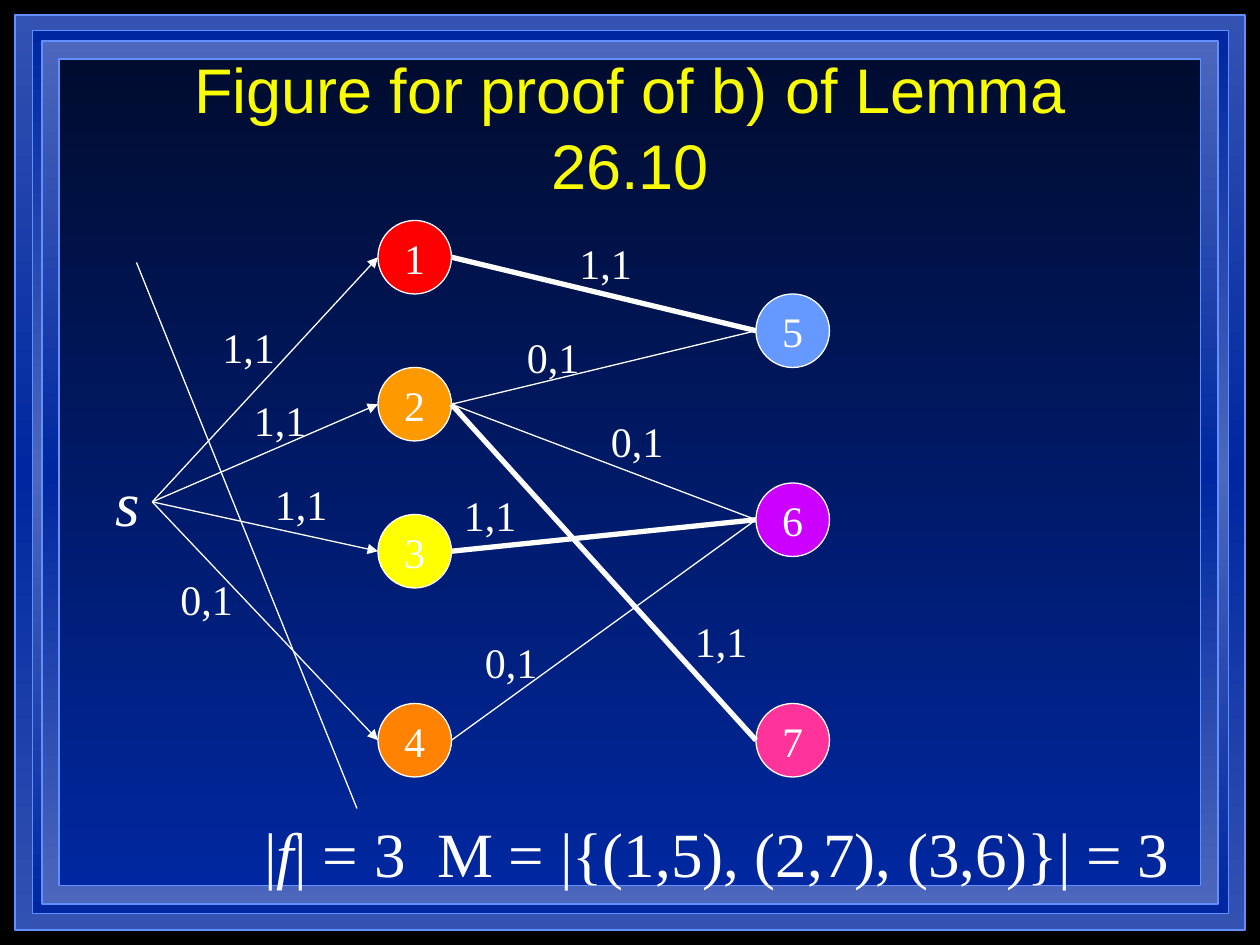
from copy import deepcopy

from pptx import Presentation
from pptx.dml.color import RGBColor
from pptx.enum.shapes import MSO_CONNECTOR, MSO_SHAPE
from pptx.enum.text import MSO_ANCHOR, MSO_AUTO_SIZE, PP_ALIGN
from pptx.oxml.ns import qn
from pptx.util import Inches, Pt

STRAIGHT = MSO_CONNECTOR.STRAIGHT
RECTANGLE, OVAL = MSO_SHAPE.RECTANGLE, MSO_SHAPE.OVAL
MIDDLE, CENTER = MSO_ANCHOR.MIDDLE, PP_ALIGN.CENTER
NO_FIT, GROW = MSO_AUTO_SIZE.NONE, MSO_AUTO_SIZE.SHAPE_TO_FIT_TEXT

THEME = {
    "title_font": "Arial", "body_font": "Times New Roman",
    "large": Pt(36), "small": Pt(24),
    "thin": Pt(0.75), "thick": Pt(3), "frame": Pt(1),
    "background": RGBColor.from_string("000000"),
    "title": RGBColor.from_string("FAFD00"),
    "ink": RGBColor.from_string("FFFFFF"),
    "edge": RGBColor.from_string("618FFD"),
}

deck = Presentation()
deck.slide_width, deck.slide_height = Inches(10), Inches(7.5)
UNIT = deck.slide_width / 120


def grid(*lengths):
    return [round(length * UNIT) for length in lengths]


def add_line(start, end, weight):
    line = page.shapes.add_connector(STRAIGHT, *grid(*start, *end))
    line.line.color.rgb = THEME["ink"]
    line.line.width = weight
    line.element.spPr.append(line.element.makeelement(qn("a:effectLst")))
    return line


page = deck.slides.add_slide(deck.slide_layouts[5])
page.background.fill.solid()
page.background.fill.fore_color.rgb = THEME["background"]

frames = [
    ((1.4, 1.4, 117.2, 87.2), ["3352B2", "00279F", "3352B2"]),
    ((3.1, 2.9, 113.9, 84.1), ["00279F", "4C67BC", "00279F"]),
    ((4, 3.9, 112, 82.2), ["4C67BC", "00279F", "4C67BC"]),
    ((5.65, 5.65, 108.7, 78.7), ["000C2F", "00279F"]),
]
for place, colors in frames:
    frame = page.shapes.add_shape(RECTANGLE, *grid(*place))
    frame.shadow.inherit = False
    frame.line.color.rgb = THEME["edge"]
    frame.line.width = THEME["frame"]
    frame.fill.gradient()
    frame.fill.gradient_angle = 270
    stop_list = frame.element.spPr.find(".//" + qn("a:gsLst"))
    for extra in colors[2:]:
        stop_list.append(deepcopy(stop_list[-1]))
    for index, (stop, color) in enumerate(zip(frame.fill.gradient_stops, colors)):
        stop.position = index / (len(colors) - 1)
        stop.color.rgb = RGBColor.from_string(color)

title = page.shapes.title
page.shapes.element.append(title.element)
title.left, title.top, title.width, title.height = grid(9, 8, 102, 8.1)
title.text_frame.text = "Figure for proof of b) of Lemma 26.10"
title.text_frame.word_wrap = True
title.text_frame.auto_size = NO_FIT
title.text_frame.vertical_anchor = MIDDLE
para = title.text_frame.paragraphs[0]
para.alignment = CENTER
para.font.name, para.font.size = THEME["title_font"], THEME["large"]
para.font.color.rgb = THEME["title"]

NODE = 7
LEFT_COLUMN, RIGHT_COLUMN = 36, 72
nodes = {
    "1": (LEFT_COLUMN, 21, "FF0000"),
    "2": (LEFT_COLUMN, 35, "FF9900"),
    "3": (LEFT_COLUMN, 49, "FFFF00"),
    "4": (LEFT_COLUMN, 67, "FF8203"),
    "5": (RIGHT_COLUMN, 28, "6699FF"),
    "6": (RIGHT_COLUMN, 46, "CC00FF"),
    "7": (RIGHT_COLUMN, 67, "FF3399"),
}
for name, (column, row, color) in nodes.items():
    node = page.shapes.add_shape(OVAL, *grid(column, row, NODE, NODE))
    node.shadow.inherit = False
    node.fill.solid()
    node.fill.fore_color.rgb = RGBColor.from_string(color)
    node.line.color.rgb = THEME["ink"]
    node.line.width = THEME["thin"]
    node.text_frame.text = name
    node.text_frame.word_wrap = False
    node.text_frame.vertical_anchor = MIDDLE
    para = node.text_frame.paragraphs[0]
    para.alignment = CENTER
    para.font.name, para.font.size = THEME["body_font"], THEME["small"]
    para.font.color.rgb = THEME["ink"]

matching = ["15", "27", "36"]
for start, end in ["15", "25", "26", "27", "36", "46"]:
    weight = THEME["thick"] if start + end in matching else THEME["thin"]
    add_line((LEFT_COLUMN + NODE, nodes[start][1] + NODE / 2),
             (RIGHT_COLUMN, nodes[end][1] + NODE / 2), weight)

SOURCE = (9.8, 43.6, 4.7, 8.4)
LABEL = (7.5, 6)
labels = [
    (20, 30, "1,1"), (23, 37, "1,1"), (25, 45, "1,1"), (16, 54, "0,1"),
    (54, 22, "1,1"), (49, 31, "0,1"), (57, 39, "0,1"),
    (43, 46, "1,1"), (65, 58, "1,1"), (45, 60, "0,1"),
]
texts = [(SOURCE, [("s", True)], THEME["large"])]
texts += [((column, row, *LABEL), [(text, None)], THEME["small"])
          for column, row, text in labels]
texts.append(((24, 77, 88.6, 8.4),
              [("|", None), ("f", True), ("| = 3  M = |{(1,5), (2,7), (3,6)}| = 3", None)],
              THEME["large"]))
boxes = []
for place, parts, size in texts:
    box = page.shapes.add_textbox(*grid(*place))
    box.text_frame.word_wrap = False
    box.text_frame.auto_size = GROW
    para = box.text_frame.paragraphs[0]
    para.font.name, para.font.size = THEME["body_font"], size
    para.font.color.rgb = THEME["ink"]
    for text, italic in parts:
        span = para.add_run()
        span.text = text
        span.font.italic = italic
    boxes.append(box)

source = boxes[0]
for name in "1234":
    arrow = add_line((SOURCE[0] + SOURCE[2], SOURCE[1] + SOURCE[3] / 2),
                     (LEFT_COLUMN, nodes[name][1] + NODE / 2), THEME["thin"])
    arrow.begin_connect(source, 3)
    outline = arrow.element.spPr.find(qn("a:ln"))
    outline.append(outline.makeelement(qn("a:tailEnd"), {"type": "triangle"}))

add_line((13, 25), (34, 77), THEME["thin"])

deck.save("out.pptx")
